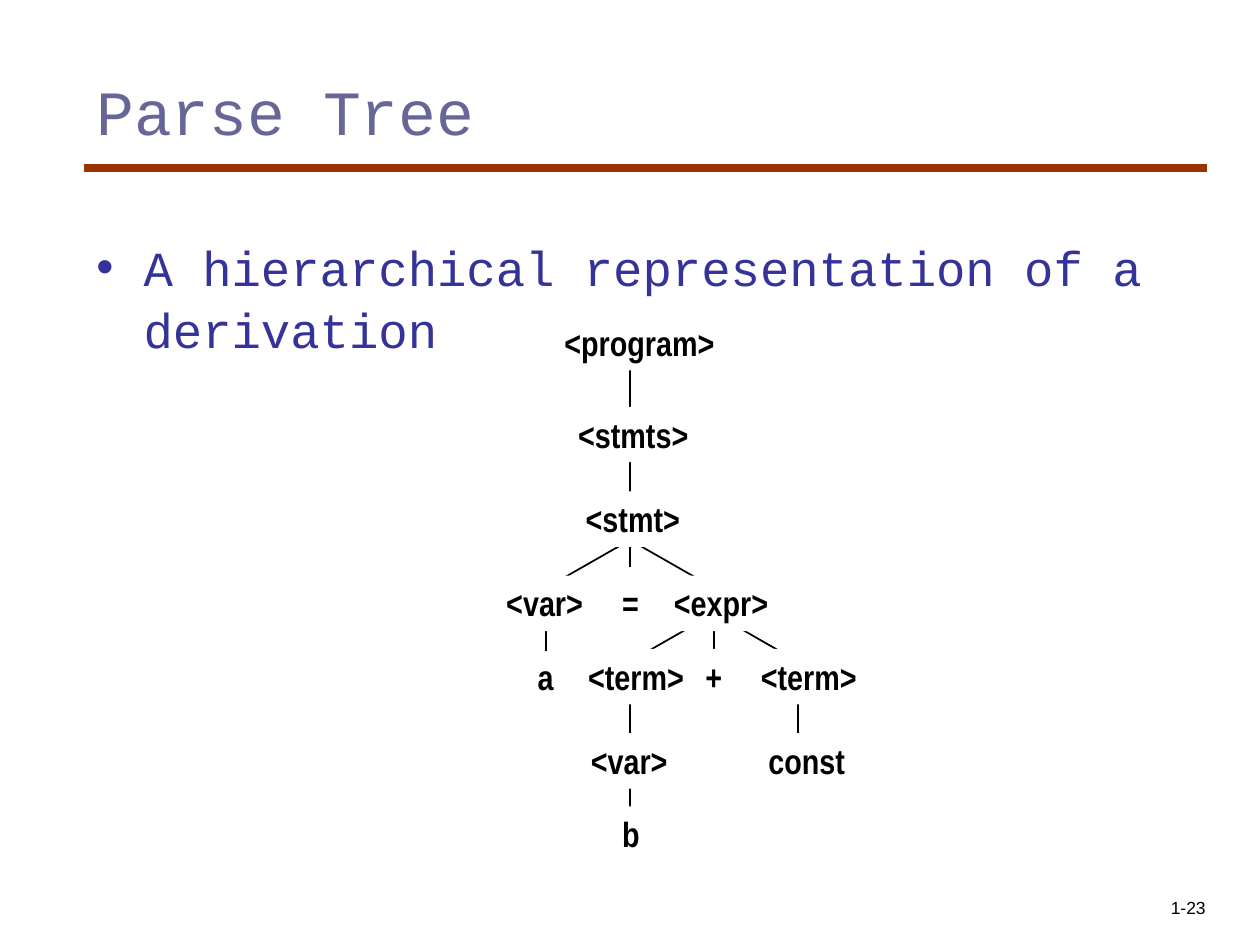
from lxml.etree import SubElement
from pptx import Presentation
from pptx.dml.color import RGBColor
from pptx.enum.shapes import MSO_CONNECTOR, MSO_SHAPE
from pptx.enum.text import MSO_ANCHOR, PP_ALIGN
from pptx.oxml.ns import qn
from pptx.util import Pt

COLORS = {"title": "666699", "body": "333399", "rule": "993300",
          "ink": "000000", "paper": "FFFFFF"}

TITLE = "Parse Tree"
BULLET = "A hierarchical representation of a derivation"
PAGE_NUMBER = "1-23"

# Tree levels: top, then the nodes as (text, left, width)
NODE_HEIGHT = 31.7
LEVELS = [
    (180, [("<program>", 315.4, 100)]),
    (232.5, [("<stmts>", 323.3, 77)]),
    (280.8, [("<stmt>", 327.6, 68.4)]),
    (329, [("<var>", 282.2, 58.3), ("=", 348.5, 23.8), ("<expr>", 378, 68.4)]),
    (370.8, [("a", 300.2, 23), ("<term>", 329, 69.1), ("+", 396, 23.8),
             ("<term>", 427.7, 69.1)]),
    (419, [("<var>", 330.5, 58.3), ("const", 432, 58.3)]),
    (460.8, [("b", 348.5, 24.5)]),
]
UNFILLED = {"a", "="}

# Branches run behind the nodes: x1, y1, x2, y2
BRANCHES = [
    (360, 198, 360, 324), (366, 312, 408, 336), (312, 336, 354, 312),
    (312, 336, 312, 372), (408, 336, 408, 378), (414, 354, 456, 378),
    (360, 378, 402, 354), (360, 384, 360, 480), (456, 384, 456, 438),
]

deck = Presentation()
deck.slide_width, deck.slide_height = Pt(720), Pt(540)
slide = deck.slides.add_slide(deck.slide_layouts[6])


def rgb(name):
    return RGBColor.from_string(COLORS[name])


def add_text(text, left, top, width, height, *, font, size, color="ink",
             bold=False, align=PP_ALIGN.LEFT, anchor=MSO_ANCHOR.TOP,
             wrap=True, fill=None, inset_top=3.6, spacing=None, bullet=None):
    place = Pt(left), Pt(top), Pt(width), Pt(height)
    if fill:
        box = slide.shapes.add_shape(MSO_SHAPE.RECTANGLE, *place)
        box.shadow.inherit = False
        box.fill.solid()
        box.fill.fore_color.rgb = rgb(fill)
        box.line.fill.background()
    else:
        box = slide.shapes.add_textbox(*place)
    frame = box.text_frame
    frame.word_wrap = wrap
    frame.vertical_anchor = anchor
    frame.margin_left = frame.margin_right = Pt(7.2)
    frame.margin_top, frame.margin_bottom = Pt(inset_top), Pt(3.6)
    paragraph = frame.paragraphs[0]
    paragraph.alignment = align
    if spacing:
        paragraph.line_spacing = spacing
    if bullet:
        properties = paragraph._p.get_or_add_pPr()
        properties.set("marL", str(Pt(27)))
        properties.set("indent", str(-Pt(27)))
        SubElement(properties, qn("a:buFont"), typeface="Arial")
        SubElement(properties, qn("a:buChar"), char=bullet)
    run = paragraph.add_run()
    run.text = text
    run.font.name, run.font.size, run.font.bold = font, Pt(size), bold
    run.font.color.rgb = rgb(color)


def add_line(x1, y1, x2, y2, color="ink", weight=1):
    line = slide.shapes.add_connector(
        MSO_CONNECTOR.STRAIGHT, Pt(x1), Pt(y1), Pt(x2), Pt(y2))
    line.line.color.rgb = rgb(color)
    line.line.width = Pt(weight)
    SubElement(line._element.spPr, qn("a:effectLst"))


# Rule under the title, and the small dot below it
add_line(48, 120, 48, 120, weight=0.75)
add_line(48, 96, 690, 96, color="rule", weight=4.5)

# Title, bullet and page number
add_text(TITLE, 48, 30, 642, 90, font="Courier New", size=36, color="title",
         inset_top=11.5)
add_text(BULLET, 48, 126, 642, 360, font="Courier New", size=28, color="body",
         inset_top=7.6, spacing=1.06, bullet="•")
add_text(PAGE_NUMBER, 546, 492, 150, 36, font="Arial", size=10,
         align=PP_ALIGN.RIGHT, anchor=MSO_ANCHOR.BOTTOM)

# Parse tree
for branch in BRANCHES:
    add_line(*branch)
for top, nodes in LEVELS:
    for symbol, left, width in nodes:
        add_text(symbol, left, top, width, NODE_HEIGHT, font="Arial Narrow",
                 size=20, bold=True, wrap=False,
                 fill=None if symbol in UNFILLED else "paper")

deck.save("out.pptx")
